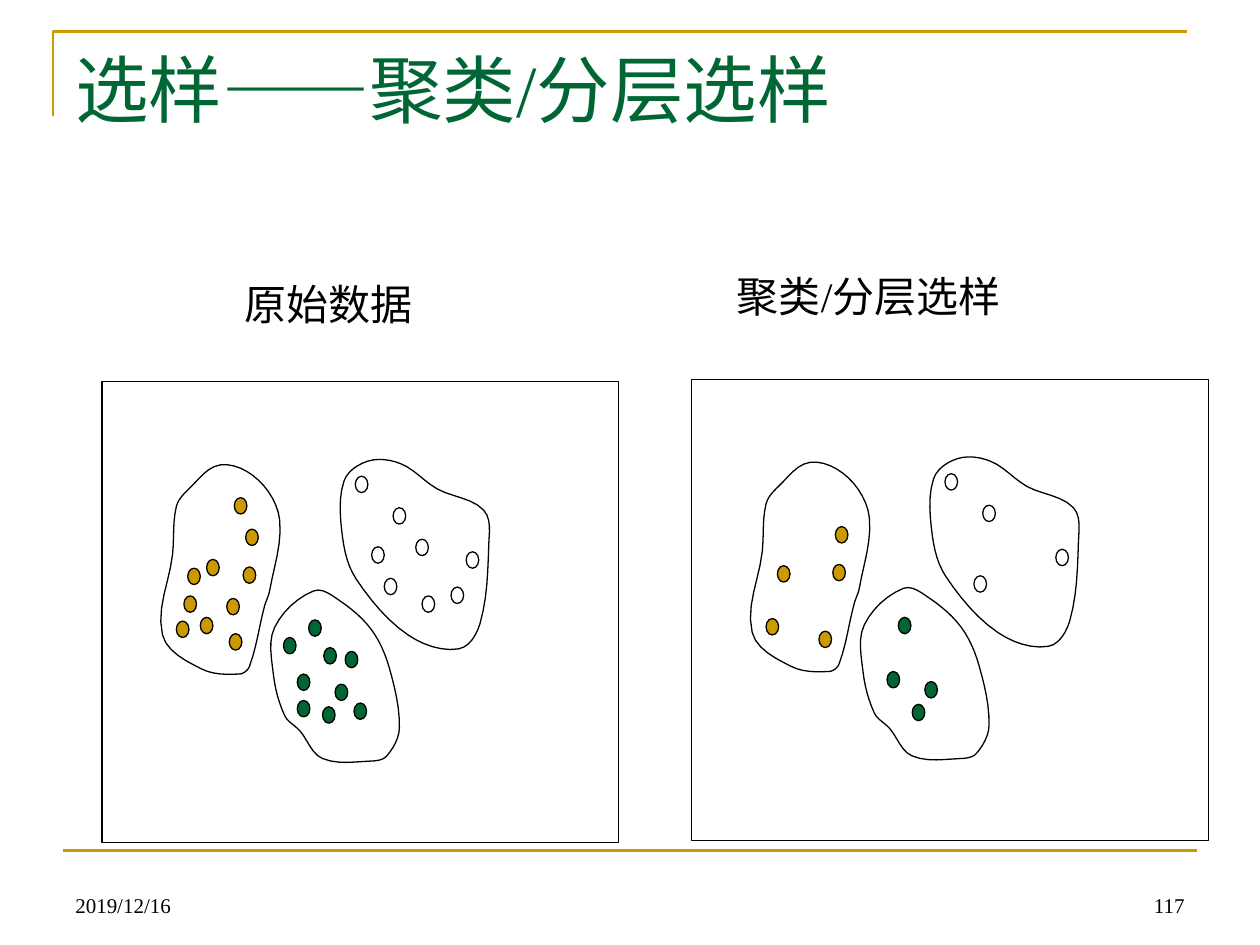
from math import dist

from lxml import etree
from pptx import Presentation
from pptx.dml.color import RGBColor
from pptx.enum.shapes import MSO_CONNECTOR, MSO_SHAPE
from pptx.enum.text import MSO_ANCHOR, PP_ALIGN
from pptx.oxml.ns import qn
from pptx.util import Inches, Pt

RECT = MSO_SHAPE.RECTANGLE
DOT = MSO_SHAPE.FLOWCHART_CONNECTOR
STRAIGHT = MSO_CONNECTOR.STRAIGHT
TOP, BOTTOM = MSO_ANCHOR.TOP, MSO_ANCHOR.BOTTOM
LEFT, RIGHT = PP_ALIGN.LEFT, PP_ALIGN.RIGHT

BLACK, WHITE, GREEN, GOLD = "000000", "FFFFFF", "006633", "CC9900"
SERIF, SANS = "Times New Roman", "Arial"
DOT_SIZE = (0.1, 0.13)
CURVE_STEPS = 6
SAMPLE_OFFSET = (4.68, -0.02)

# Each cluster: colour, sampled dots, remaining dots, nodes of its smooth outline
CLUSTERS = [
    (WHITE,
     [(3.12, 4.03), (3.05, 4.59), (3.7, 4.38), (2.82, 3.78)],
     [(3.3, 4.28), (2.95, 4.34), (3.58, 4.66), (3.35, 4.73)],
     [(3.84, 4.05), (3.88, 4.32), (3.81, 4.95), (3.64, 5.15), (3.24, 5.04), (2.83, 4.6),
      (2.72, 4.27), (2.73, 3.82), (2.92, 3.66), (3.18, 3.68), (3.47, 3.88)]),
    (GREEN,
     [(2.56, 5.61), (2.66, 5.43), (2.36, 5.35), (2.45, 4.92)],
     [(2.25, 5.06), (2.74, 5.17), (2.36, 5.56), (2.57, 5.14), (2.81, 5.58)],
     [(2.38, 5.8), (2.26, 5.68), (2.17, 5.35), (2.18, 4.98), (2.49, 4.69), (2.7, 4.77),
      (2.95, 5), (3.09, 5.3), (3.17, 5.78), (3.07, 6), (2.95, 6.04), (2.56, 6.02)]),
    (GOLD,
     [(1.4, 4.93), (1.49, 4.51), (1.82, 5.03), (1.93, 4.5), (1.95, 4.2)],
     [(1.59, 4.9), (1.46, 4.73), (1.8, 4.75), (1.64, 4.44), (1.86, 3.95)],
     [(2.1, 4.81), (1.98, 5.29), (1.9, 5.35), (1.6, 5.31), (1.29, 5.04), (1.37, 4.4),
      (1.4, 4.02), (1.5, 3.88), (1.75, 3.69), (2.05, 3.81), (2.22, 4.13), (2.14, 4.69)]),
]


def rgb(color):
    return RGBColor.from_string(color)


def style(sp, fill=None, line=BLACK, width=0.75):
    sp.shadow.inherit = False
    if fill:
        sp.fill.solid()
        sp.fill.fore_color.rgb = rgb(fill)
    else:
        sp.fill.background()
    sp.line.color.rgb = rgb(line)
    sp.line.width = Pt(width)


def add_preset(shapes, kind, pos, size, fill=None):
    sp = shapes.add_shape(kind, *(Inches(v) for v in (*pos, *size)))
    style(sp, fill)


def add_outline(shapes, points, close=True, **fmt):
    pts = [(Inches(x), Inches(y)) for x, y in points]
    builder = shapes.build_freeform(*pts[0])
    builder.add_line_segments(pts[1:], close=close)
    style(builder.convert_to_shape(), **fmt)


def add_rule(shapes, x1, y1, x2, y2, color, width):
    line = shapes.add_connector(STRAIGHT, *(Inches(v) for v in (x1, y1, x2, y2)))
    line.line.color.rgb = rgb(color)
    line.line.width = Pt(width)
    etree.SubElement(line._element.spPr, qn("a:effectLst"))


def add_text(shapes, runs, box, size, color=BLACK, align=LEFT, anchor=TOP):
    """Add one paragraph; runs is a list of (text, font name)."""
    tf = shapes.add_textbox(*(Inches(v) for v in box)).text_frame
    tf.word_wrap = True
    tf.vertical_anchor = anchor
    p = tf.paragraphs[0]
    p.alignment = align
    for text, font in runs:
        r = p.add_run()
        r.text = text
        r.font.name = font
        r.font.size = Pt(size)
        r.font.color.rgb = rgb(color)


def smooth_loop(nodes):
    """Return points of a smooth closed curve through the nodes."""
    count = len(nodes)
    tangents = []
    for i in range(count):
        before, after = nodes[i - 1], nodes[(i + 1) % count]
        length = dist(before, after)
        tangents.append([(after[k] - before[k]) / length for k in (0, 1)])
    points = []
    for i in range(count):
        j = (i + 1) % count
        a, d = nodes[i], nodes[j]
        handle = dist(a, d) / 3
        b = [a[k] + handle * tangents[i][k] for k in (0, 1)]
        c = [d[k] - handle * tangents[j][k] for k in (0, 1)]
        for step in range(CURVE_STEPS):
            t = step / CURVE_STEPS
            u = 1 - t
            points.append(tuple(
                u**3 * a[k] + 3 * u * u * t * b[k] + 3 * u * t * t * c[k] + t**3 * d[k]
                for k in (0, 1)))
    return points


def add_panel(slide, offset=(0, 0), sampled_only=False):
    """Draw the frame with its three clusters, moved by offset."""
    def move(point):
        return point[0] + offset[0], point[1] + offset[1]

    shapes = slide.shapes.add_group_shape().shapes
    add_preset(shapes, RECT, move((0.81, 3.03)), (4.1, 3.66))
    for color, sampled, others, nodes in CLUSTERS:
        for dot in sampled if sampled_only else sampled + others:
            add_preset(shapes, DOT, move(dot), DOT_SIZE, color)
        add_outline(shapes, [move(pt) for pt in smooth_loop(nodes)])


def main():
    prs = Presentation()
    prs.slide_width, prs.slide_height = Inches(10), Inches(7.5)
    slide = prs.slides.add_slide(prs.slide_layouts[6])
    shapes = slide.shapes

    add_outline(shapes, [(0.42, 0.92), (0.42, 0.25), (9.42, 0.25)],
                close=False, line=GOLD, width=1.5)
    add_rule(shapes, 0.5, 6.75, 9.5, 6.75, GOLD, 1.5)
    add_text(shapes, [("选样", SERIF), ("——", SANS), ("聚类/分层选样", SERIF)],
             (0.5, 0.3, 9, 1.25), 42, GREEN)

    add_panel(slide)
    add_panel(slide, SAMPLE_OFFSET, sampled_only=True)
    add_text(shapes, [("原始数据", SERIF)], (1.84, 2.16, 1.62, 0.5), 24)
    add_text(shapes, [("聚类/分层选样", SERIF)], (5.75, 2.1, 2.29, 0.5), 24)

    add_text(shapes, [("2019/12/16", SERIF)], (0.5, 6.83, 2.33, 0.5), 12, anchor=BOTTOM)
    add_text(shapes, [("117", SERIF)], (7.17, 6.83, 2.33, 0.5), 12,
             align=RIGHT, anchor=BOTTOM)
    prs.save("out.pptx")


if __name__ == "__main__":
    main()
